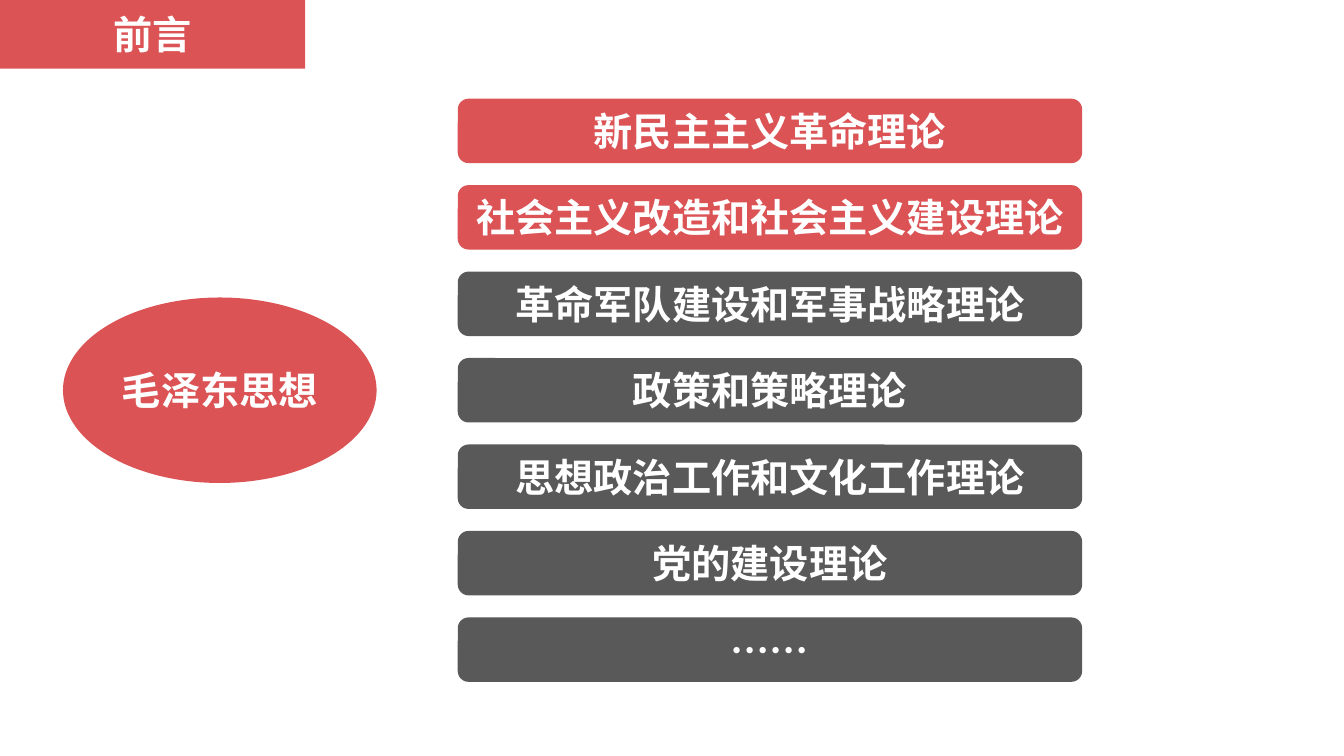
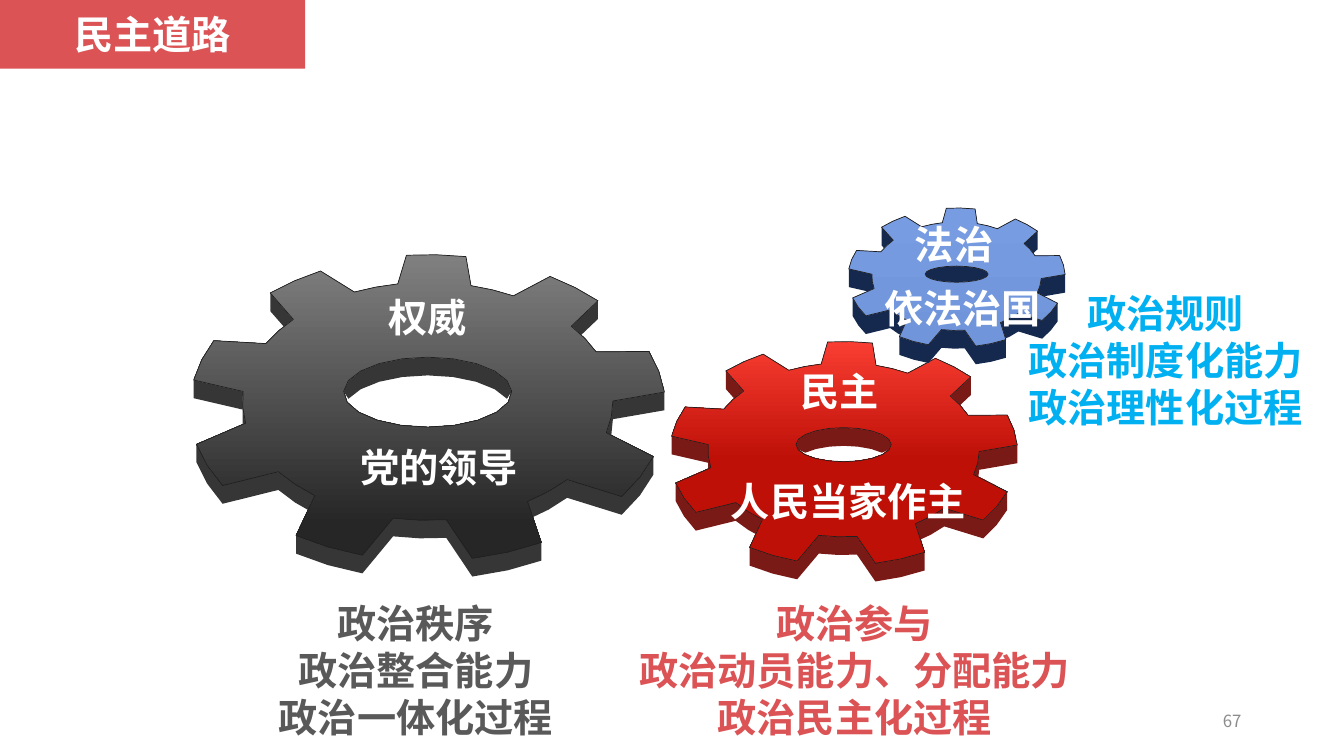
from dataclasses import dataclass
from math import cos, radians, sin

from lxml.etree import SubElement
from pptx import Presentation
from pptx.dml.color import RGBColor as RGB
from pptx.enum.shapes import MSO_SHAPE as SHAPE
from pptx.enum.text import MSO_ANCHOR as ANCHOR, MSO_AUTO_SIZE as AUTO, PP_ALIGN as ALIGN
from pptx.oxml.ns import qn
from pptx.util import Pt


@dataclass(frozen=True)
class Theme:
    font: str = "Noto Sans CJK SC"
    red: str = "DB5355"
    gray: str = "595959"
    blue: str = "00B0F0"
    white: str = "FFFFFF"
    muted: str = "8C8C8C"
    edge: str = "202020"
    main: float = 28
    small: float = 12
    pitch: float = 33.6


T = Theme()
TILT = 0.64
PERSPECTIVE = 0.00064
DEPTH = 13
TEETH = 9
HOLE_POINTS = 20


@dataclass(frozen=True)
class Gear:
    x: float
    y: float
    radius: float
    hole: tuple
    face: tuple
    stop: float
    side: str


GEARS = [
    Gear(305.5, 279.5, 169, (60, 39), ("808080", "262626"), 0.89, "363636"),
    Gear(602.6, 317.5, 124, (34, 19), ("F93D32", "BE1007"), 0.53, "7A1A17"),
    Gear(683.3, 195.8, 77.5, (22.5, 9), ("779CE2", "7095DA"), 1, "15294F"),
]


def place(s, box):
    s.left, s.top, s.width, s.height = (Pt(v) for v in box)


def paint(s, color):
    s.fill.solid()
    s.fill.fore_color.rgb = RGB.from_string(color)
    s.line.fill.background()


def write(s, lines, color=T.white, size=T.main, bold=True, align=ALIGN.CENTER,
          wrap=True, pitch=None):
    tf = s.text_frame
    tf.word_wrap = wrap
    tf.auto_size = AUTO.NONE
    tf.vertical_anchor = ANCHOR.MIDDLE
    for i, line in enumerate(lines):
        p = tf.add_paragraph() if i else tf.paragraphs[0]
        p.alignment = align
        if pitch:
            p.line_spacing = Pt(pitch)
        r = p.add_run()
        r.text = line
        r.font.size = Pt(size)
        r.font.bold = bold
        r.font.color.rgb = RGB.from_string(color)
        r.font.name = T.font
        SubElement(r._r.get_or_add_rPr(), qn("a:ea")).set("typeface", T.font)


def add_block(slide, kind, box, color, text):
    s = slide.shapes.add_shape(kind, *(Pt(v) for v in box))
    s.shadow.inherit = False
    paint(s, color)
    write(s, [text])


def add_text(slide, box, lines, **style):
    write(slide.shapes.add_textbox(*(Pt(v) for v in box)), lines, **style)


def add_slide(prs, title):
    slide = prs.slides.add_slide(prs.slide_layouts[5])
    s = slide.shapes.title
    place(s, (0, 0, 218, 49))
    paint(s, T.red)
    write(s, [title])
    return slide


def add_bars(slide, box, items, height, marked):
    left, top, width, total = box
    step = (total - height) / (len(items) - 1)
    for i, item in enumerate(items):
        color = T.red if i < marked else T.gray
        add_block(slide, SHAPE.ROUNDED_RECTANGLE,
                  (left, top + i * step, width, height), color, item)


def polar(rx, ry, angle):
    a = radians(angle)
    return rx * sin(a), -ry * cos(a)


def project(gear, points):
    result = []
    for dx, dy in points:
        zoom = 1 / (1 - PERSPECTIVE * dy)
        result.append((gear.x + dx * zoom, gear.y + dy * TILT * zoom))
    return result


def gear_rim(gear):
    tip, root = gear.radius, gear.radius * 0.78
    points = []
    for i in range(TEETH):
        mid = 2.3 + i * 360 / TEETH
        points += [polar(tip, tip, mid + d) for d in (-8, 0, 8)]
        points += [polar(root, root, mid + d) for d in (12.4, 20, 27.6)]
    return project(gear, points)


def gear_hole(gear):
    step = 360 / HOLE_POINTS
    return project(gear, [polar(*gear.hole, -i * step) for i in range(HOLE_POINTS)])


def sweep_rim(rim):
    points = []
    for (x1, y1), (x2, y2) in zip(rim, rim[1:] + rim[:1]):
        drop = DEPTH if x2 < x1 else 0
        points += [p for p in [(x1, y1 + drop), (x2, y2 + drop)] if p not in points[-1:]]
    return points


def sweep_hole(hole):
    n = len(hole)
    points = []
    for i, (x, y) in enumerate(hole):
        mirror = hole[(n // 2 - i) % n][1]
        points.append((x, min(min(y, mirror) + DEPTH, max(y, mirror)) if y < mirror else y))
    return points


def add_plate(shapes, rim, hole):
    rim, hole = ([(Pt(x), Pt(y)) for x, y in points] for points in (rim, hole))
    fb = shapes.build_freeform(*rim[0], scale=1.0)
    fb.add_line_segments(rim[1:], close=True)
    fb.move_to(*hole[0])
    fb.add_line_segments(hole[1:], close=True)
    s = fb.convert_to_shape()
    s.shadow.inherit = False
    return s


def add_gear(slide, gear):
    shapes = slide.shapes.add_group_shape().shapes
    rim, hole = gear_rim(gear), gear_hole(gear)
    paint(add_plate(shapes, sweep_rim(rim), sweep_hole(hole)), gear.side)
    face = add_plate(shapes, rim, hole)
    face.fill.gradient()
    face.fill.gradient_angle = 270
    for stop, color, pos in zip(face.fill.gradient_stops, gear.face, (0, gear.stop)):
        stop.color.rgb = RGB.from_string(color)
        stop.position = pos
    face.line.color.rgb = RGB.from_string(T.edge)
    face.line.width = Pt(0.5)


def build_preface(prs):
    slide = add_slide(prs, "前言")
    add_block(slide, SHAPE.OVAL, (45, 212.5, 224, 132.5), T.red, "毛泽东思想")
    add_bars(slide, (327, 70.5, 446, 416.5), [
        "新民主主义革命理论",
        "社会主义改造和社会主义建设理论",
        "革命军队建设和军事战略理论",
        "政策和策略理论",
        "思想政治工作和文化工作理论",
        "党的建设理论",
        "……",
    ], height=46, marked=2)


def build_gears(prs):
    slide = add_slide(prs, "民主道路")
    for gear in GEARS:
        add_gear(slide, gear)
    for x, y, label in [
        (313.5, 333.5, "党的领导"),
        (606, 357.5, "人民当家作主"),
        (687.5, 220, "依法治国"),
        (305.5, 226.5, "权威"),
        (600, 279.5, "民主"),
        (681.5, 174, "法治"),
    ]:
        width = T.main * len(label) + 15
        add_text(slide, (x - width / 2, y - 20.5, width, 41), [label], wrap=False)
    for box, color, lines in [
        ((191, 424, 212, 109), T.gray,
         ["政治秩序", "政治整合能力", "政治一体化过程"]),
        ((448, 424, 325, 109), T.red,
         ["政治参与", "政治动员能力、分配能力", "政治民主化过程"]),
        ((726.5, 202.5, 212, 109), T.blue,
         ["政治规则", "政治制度化能力", "政治理性化过程"]),
    ]:
        add_text(slide, box, lines, color=color, wrap=False, pitch=T.pitch)
    add_text(slide, (678, 500.5, 216, 29), ["67"], color=T.muted, size=T.small,
             bold=False, align=ALIGN.RIGHT)


def main():
    prs = Presentation()
    prs.slide_width, prs.slide_height = Pt(960), Pt(540)
    build_preface(prs)
    build_gears(prs)
    prs.save("out.pptx")


if __name__ == "__main__":
    main()
